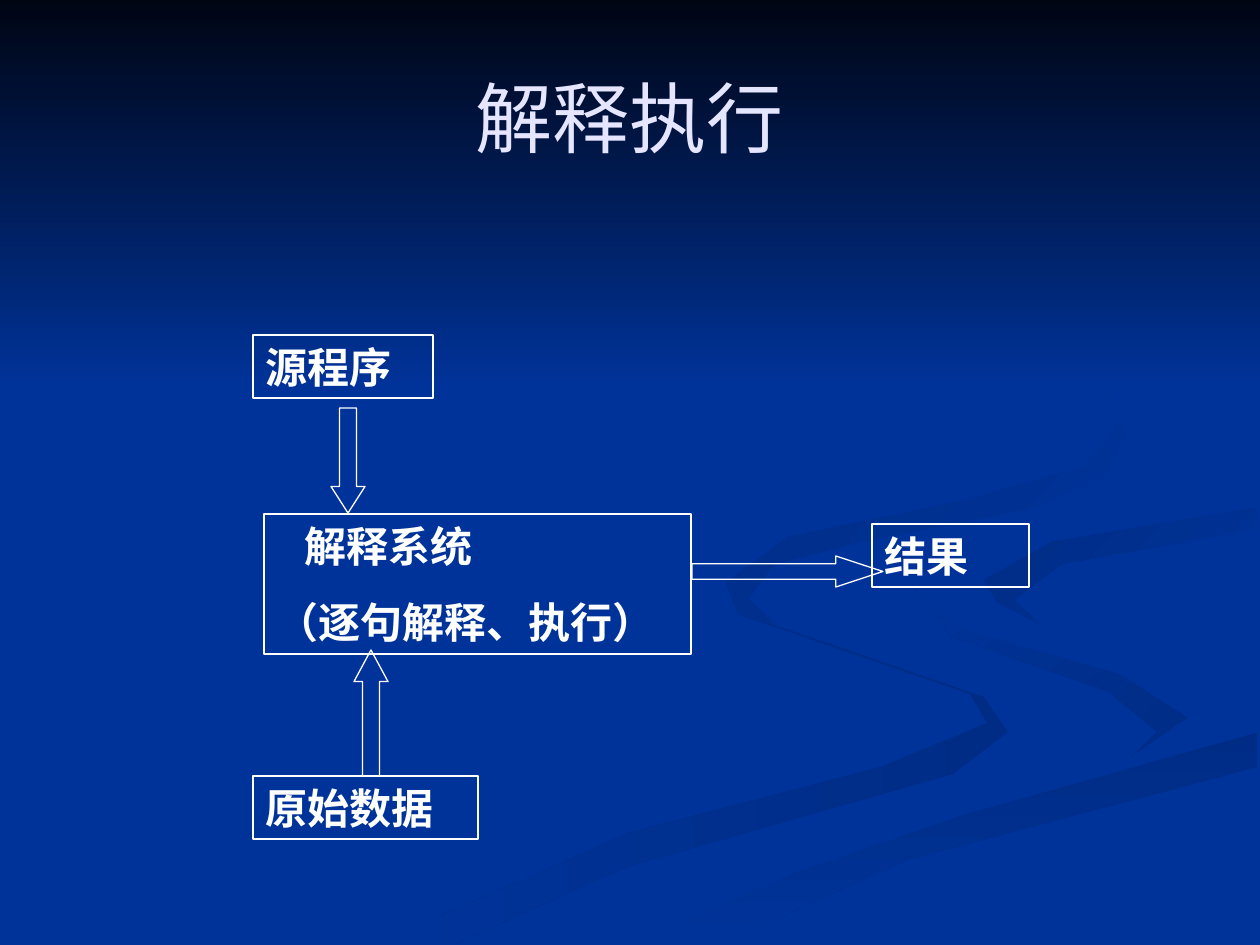
import pptx
import pptx.dml.color
import pptx.enum.shapes
import pptx.enum.text
import pptx.util
from dataclasses import dataclass

EMU_PER_PX = 914400 / 126
WIDTH, HEIGHT = 1260, 945


@dataclass(frozen=True)
class Theme:
    background: str = "003399"
    shade: str = "002C85"
    night: str = "000514"
    title: str = "E5E5FF"
    ink: str = "FFFFFF"
    font: str = "Times New Roman"
    title_pt: int = 44
    label_pt: int = 24
    label_gap_pt: int = 15
    line_pt: float = 0.75


theme = Theme()


def px(*lengths):
    return [pptx.util.Emu(round(length * EMU_PER_PX)) for length in lengths]


def rgb(code):
    return pptx.dml.color.RGBColor.from_string(code)


prs = pptx.Presentation()
prs.slide_width, prs.slide_height = px(WIDTH, HEIGHT)
slide = prs.slides.add_slide(prs.slide_layouts[6])
slide.background.fill.solid()
slide.background.fill.fore_color.rgb = rgb(theme.background)

# Backdrop: ribbons, then the night sky; each is start colour, end colour,
# clockwise angle and outline
backdrop = [
    (theme.shade, theme.background, 180, [
        (984, 697), (774, 625), (725, 578), (738, 614), (970, 694), (987, 723),
        (881, 767), (629, 833), (378, 944), (455, 944), (629, 866), (953, 774),
        (1008, 732)]),
    (theme.shade, theme.background, 225, [
        (1188, 718), (1119, 674), (939, 617), (912, 585), (951, 636),
        (1109, 692), (1157, 732), (1126, 762)]),
    (theme.shade, theme.background, 90, [
        (634, 944), (719, 944), (910, 859), (1257, 767), (1257, 732),
        (963, 815), (794, 873)]),
    (theme.background, theme.background, 0, [
        (914, 585), (956, 627), (1140, 680), (1188, 718), (1124, 762),
        (780, 862), (601, 944), (634, 944), (794, 873), (963, 815),
        (1259, 732), (1259, 678), (1029, 620), (984, 583), (1052, 542),
        (1259, 507), (1259, 488), (970, 538)]),
    (theme.background, theme.shade, 225, [
        (984, 580), (997, 602), (1041, 625), (1014, 600), (1062, 564),
        (1257, 529), (1257, 507), (1052, 542)]),
    (theme.background, theme.shade, 225, [
        (861, 542), (1040, 507), (1104, 476), (1126, 433), (1089, 367),
        (960, 294), (1096, 377), (1120, 422), (1085, 466), (961, 501),
        (788, 537), (727, 582), (784, 630), (748, 599), (774, 564)]),
    (theme.night, theme.background, 90, [
        (0, 0), (0, 388), (WIDTH, 388), (WIDTH, 0)]),
]
for start, end, angle, outline in backdrop:
    builder = slide.shapes.build_freeform(*outline[0], scale=EMU_PER_PX)
    builder.add_line_segments(outline[1:], close=True)
    area = builder.convert_to_shape()
    area.shadow.inherit = False
    area.line.fill.background()
    if start == end:
        area.fill.solid()
        area.fill.fore_color.rgb = rgb(start)
        continue
    area.fill.gradient()
    area.fill.gradient_angle = (360 - angle) % 360
    for stop, colour in zip(area.fill.gradient_stops, (start, end)):
        stop.color.rgb = rgb(colour)

# Title
heading = slide.shapes.add_textbox(*px(63, 38, 1134, 157)).text_frame
heading.word_wrap = True
heading.vertical_anchor = pptx.enum.text.MSO_ANCHOR.MIDDLE
heading.text = "解释执行"
heading.paragraphs[0].alignment = pptx.enum.text.PP_ALIGN.CENTER
heading_font = heading.paragraphs[0].runs[0].font
heading_font.name = theme.font
heading_font.size = pptx.util.Pt(theme.title_pt)
heading_font.color.rgb = rgb(theme.title)

# Steps and block arrows: preset, place, adjustments, lines of (text, indent)
kinds = pptx.enum.shapes.MSO_SHAPE
flow = [
    (kinds.RECTANGLE, (253, 335, 180, 63), (), [("源程序", 0)]),
    (kinds.RECTANGLE, (264, 514, 427, 140), (),
     [("解释系统", 28), ("（逐句解释、执行）", 0)]),
    (kinds.RECTANGLE, (253, 776, 225, 63), (), [("原始数据", 0)]),
    (kinds.RECTANGLE, (872, 524, 157, 63), (), [("结果", 0)]),
    (kinds.DOWN_ARROW, (331, 408, 34, 105), (0.5, 0.78), []),
    (kinds.UP_ARROW, (354, 650, 34, 126), (0.5, 0.93), []),
    (kinds.RIGHT_ARROW, (692, 556, 191, 31), (0.5, 1.52), []),
]
for preset, place, adjustments, lines in flow:
    step = slide.shapes.add_shape(preset, *px(*place))
    step.shadow.inherit = False
    step.fill.background()
    step.line.color.rgb = rgb(theme.ink)
    step.line.width = pptx.util.Pt(theme.line_pt)
    for index, value in enumerate(adjustments):
        step.adjustments[index] = value
    if not lines:
        continue
    label = step.text_frame
    label.word_wrap = True
    label.auto_size = pptx.enum.text.MSO_AUTO_SIZE.SHAPE_TO_FIT_TEXT
    label.vertical_anchor = pptx.enum.text.MSO_ANCHOR.TOP
    label.text = "\n".join(text for text, _ in lines)
    for paragraph, (_, indent) in zip(label.paragraphs, lines):
        paragraph.alignment = pptx.enum.text.PP_ALIGN.LEFT
        paragraph.space_before = pptx.util.Pt(theme.label_gap_pt)
        if indent:
            paragraph._p.get_or_add_pPr().set("marL", str(px(indent)[0]))
        font = paragraph.runs[0].font
        font.name = theme.font
        font.size = pptx.util.Pt(theme.label_pt)
        font.bold = True
        font.color.rgb = rgb(theme.ink)

prs.save("out.pptx")
